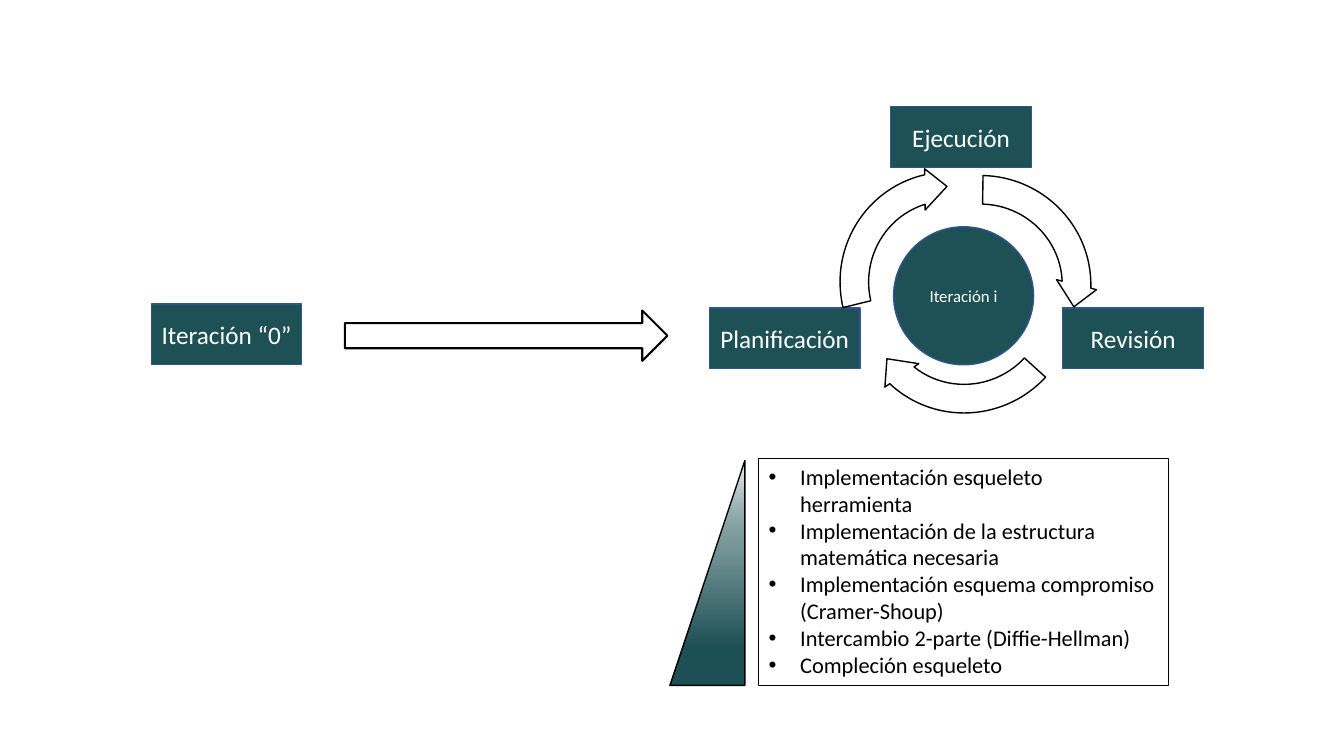
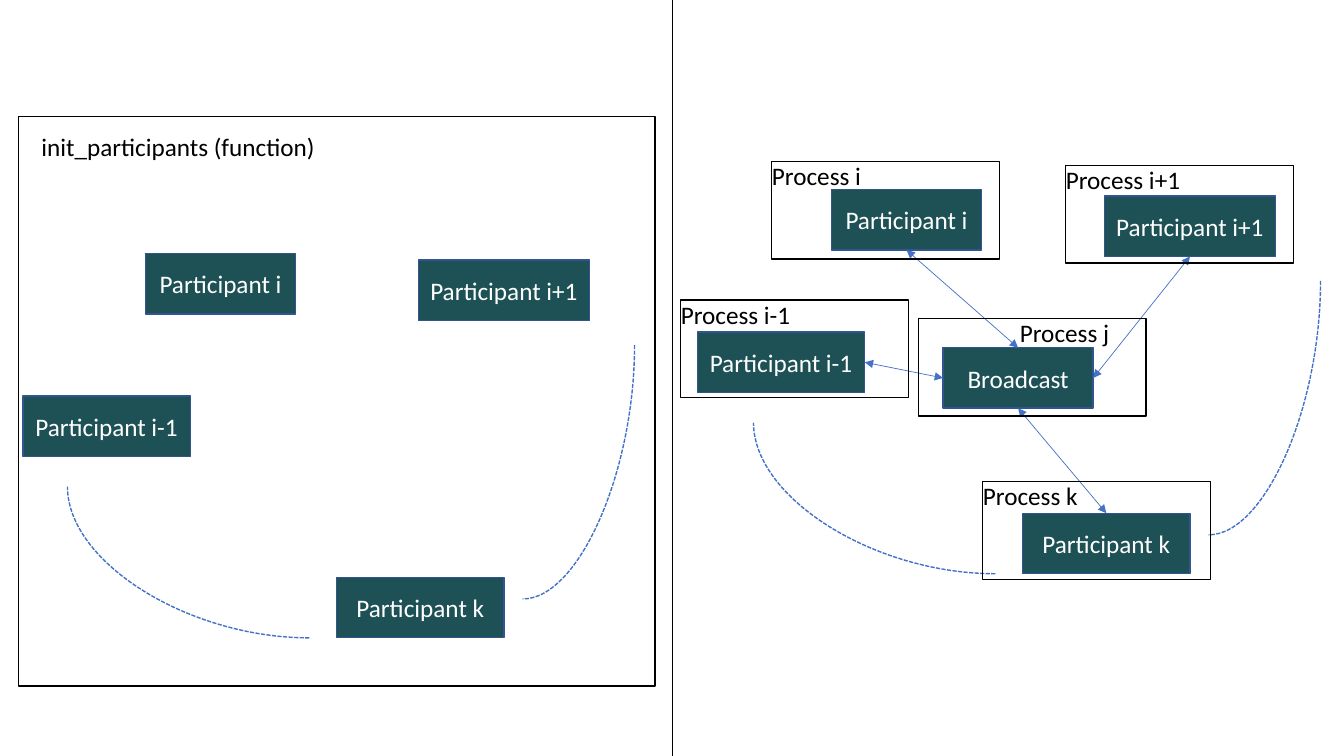
from dataclasses import dataclass
from typing import Any, Optional

import lxml.etree
import pptx
import pptx.dml.color
import pptx.enum.dml
import pptx.enum.shapes
import pptx.enum.text
import pptx.oxml.ns
import pptx.util

Pt = pptx.util.Pt
qn = pptx.oxml.ns.qn
SHAPE = pptx.enum.shapes.MSO_SHAPE
CONNECTOR = pptx.enum.shapes.MSO_CONNECTOR
ALIGN = pptx.enum.text.PP_ALIGN
ANCHOR = pptx.enum.text.MSO_ANCHOR

FONT = "Calibri"
COLORS = {
    "teal": "1E5155",
    "node_line": "325491",
    "link": "4472C4",
    "pale": "F6F8FC",
    "black": "000000",
    "white": "FFFFFF",
}
SLIDE_WIDTH, SLIDE_HEIGHT = 960, 540
NODE_HEIGHT = 43.2
NODE_WIDTH = 107.3
LABEL_WIDTH, LABEL_HEIGHT = 110, 28.8
TOP, LEFT, BOTTOM, RIGHT = range(4)


@dataclass(frozen=True)
class Box:
    left: float
    top: float
    width: float
    height: float = NODE_HEIGHT

    def lengths(self) -> tuple[Any, ...]:
        return Pt(self.left), Pt(self.top), Pt(self.width), Pt(self.height)

    def moved(self, right: float, down: float) -> "Box":
        return Box(self.left + right, self.top + down, self.width, self.height)


@dataclass(frozen=True)
class Node:
    text: str
    box: Box
    size: float = 18
    preset: Any = SHAPE.RECTANGLE


@dataclass(frozen=True)
class TurnedItem:
    box: Box
    rotation: float


@dataclass(frozen=True)
class Process:
    text: str
    left: float
    top: float
    label_shift: float = -7


@dataclass(frozen=True)
class Link:
    start: str
    start_site: int
    end: str
    end_site: int


CYCLE_NODES = [
    Node("Revisión", Box(758.9, 220, 101)),
    Node("Planificación", Box(506.9, 220, NODE_WIDTH)),
    Node("Ejecución", Box(636, 76.3, 101)),
]
CYCLE_CENTER = Node("Iteración i", Box(638.3, 162, 100, 98.6), 12, SHAPE.OVAL)
START_NODE = Node("Iteración “0”", Box(108.2, 217.2, NODE_WIDTH))
CYCLE_ARROWS = [
    TurnedItem(Box(606.7, 135.8, 165.6, 163.4), 150.9),
    TurnedItem(Box(618.2, 121, 165.6, 163.4), 19.6),
    TurnedItem(Box(594.5, 119.5, 165.6, 163.4), 274.9),
]
CYCLE_ARROW_ADJUSTMENTS = (1 / 8, 8.07, 204.58, 150.76, 0.09)
TASKS = [
    "Implementación esqueleto herramienta",
    "Implementación de la estructura matemática necesaria",
    "Implementación esquema compromiso (Cramer-Shoup)",
    "Intercambio 2-parte (Diffie-Hellman)",
    "Compleción esqueleto",
]
# Position in percent, colour, opacity in percent
WEDGE_STOPS = [(0, "pale", 100), (39, "teal", 60), (83, "teal", 100), (100, "teal", 100)]

PARTICIPANTS = [
    Node("Participant i", Box(103.9, 181.2, NODE_WIDTH)),
    Node("Participant i+1", Box(298.8, 185.8, 122.4)),
    Node("Participant i-1", Box(16.4, 283, 119.5)),
    Node("Participant k", Box(240.5, 412.4, 119.5)),
]
CURVES = [
    TurnedItem(Box(322.6, 297.2, 181.4, 79.9), 90),
    TurnedItem(Box(48.2, 347.6, 172.8, 108), 180),
]
RING_SHIFT = (490, -45.8)
NUDGES = {"Participant i-1": -8.2}
BROADCAST = Node("Broadcast", Box(673.6, 248.4, NODE_WIDTH))
LINKS = [
    Link("Participant i-1", RIGHT, "Broadcast", LEFT),
    Link("Participant i", BOTTOM, "Broadcast", TOP),
    Link("Participant i+1", BOTTOM, "Broadcast", RIGHT),
    Link("Broadcast", BOTTOM, "Participant k", TOP),
]
PROCESSES = [
    Process("Process i", 551.3, 115.2),
    Process("Process i+1", 761.2, 118.1),
    Process("Process i-1", 486.2, 214.4),
    Process("Process k", 702, 344),
    Process("Process j", 655.9, 227.5, 65.5),
]


def rgb(name: str) -> Any:
    return pptx.dml.color.RGBColor.from_string(COLORS[name])


def write_text(shape: Any, *lines: str, size: float = 18, color: str = "black",
               align: Any = ALIGN.LEFT, anchor: Any = ANCHOR.TOP,
               side_margin: float = 7.2, bullet_indent: float = 0) -> None:
    frame = shape.text_frame
    frame.word_wrap = True
    frame.vertical_anchor = anchor
    frame.margin_left = frame.margin_right = Pt(side_margin)
    for index, line in enumerate(lines):
        paragraph = frame.add_paragraph() if index else frame.paragraphs[0]
        paragraph.alignment = align
        run = paragraph.add_run()
        run.text = line
        run.font.name = FONT
        run.font.size = Pt(size)
        run.font.color.rgb = rgb(color)
        if bullet_indent:
            add_bullet(paragraph, bullet_indent)


def add_bullet(paragraph: Any, indent: float) -> None:
    properties = paragraph._p.get_or_add_pPr()
    properties.set("marL", str(int(Pt(indent))))
    properties.set("indent", str(-int(Pt(indent))))
    lxml.etree.SubElement(properties, qn("a:buFont")).set("typeface", "Arial")
    lxml.etree.SubElement(properties, qn("a:buChar")).set("char", "•")


def add_shape(slide: Any, preset: Any, box: Box, fill: Optional[str] = None,
              line: str = "black", line_width: float = 1) -> Any:
    shape = slide.shapes.add_shape(preset, *box.lengths())
    shape.shadow.inherit = False
    if fill:
        shape.fill.solid()
        shape.fill.fore_color.rgb = rgb(fill)
    else:
        shape.fill.background()
    shape.line.color.rgb = rgb(line)
    shape.line.width = Pt(line_width)
    return shape


def add_node(slide: Any, node: Node) -> Any:
    shape = add_shape(slide, node.preset, node.box, "teal", "node_line")
    write_text(shape, node.text, size=node.size, color="white", align=ALIGN.CENTER,
               anchor=ANCHOR.MIDDLE, side_margin=3.6)
    return shape


def add_label(slide: Any, text: str, left: float, top: float,
              width: float = LABEL_WIDTH) -> None:
    box = Box(left, top, width, LABEL_HEIGHT)
    write_text(slide.shapes.add_textbox(*box.lengths()), text)


def add_line(slide: Any, kind: Any, box: Box, color: str, width: float) -> Any:
    """Draw a connector from the top left to the bottom right of the box."""
    line = slide.shapes.add_connector(
        kind, Pt(box.left), Pt(box.top),
        Pt(box.left + box.width), Pt(box.top + box.height))
    line.line.color.rgb = rgb(color)
    line.line.width = Pt(width)
    lxml.etree.SubElement(line.element.spPr, qn("a:effectLst"))
    return line


def add_link(slide: Any, link: Link, nodes: dict[str, Any]) -> None:
    """Glue a double-headed arrow to two nodes."""
    line = add_line(slide, CONNECTOR.STRAIGHT, Box(0, 0, 0, 0), "link", 0.5)
    line.begin_connect(nodes[link.start], link.start_site)
    line.end_connect(nodes[link.end], link.end_site)
    outline = line.element.spPr.find(qn("a:ln"))
    for end in ("a:headEnd", "a:tailEnd"):
        lxml.etree.SubElement(outline, qn(end)).set("type", "triangle")


def add_curve(slide: Any, curve: TurnedItem) -> None:
    """Draw a dashed quarter curve, turned about the centre of its box."""
    line = add_line(slide, CONNECTOR.CURVE, curve.box, "link", 1)
    line.line.dash_style = pptx.enum.dml.MSO_LINE.SQUARE_DOT
    properties = line.element.spPr
    properties.find(qn("a:prstGeom")).set("prst", "curvedConnector2")
    properties.find(qn("a:xfrm")).set("rot", str(int(curve.rotation * 60000)))


def add_wedge(slide: Any, box: Box) -> None:
    """Draw the right triangle that darkens downwards."""
    wedge = add_shape(slide, SHAPE.RIGHT_TRIANGLE, box)
    wedge.fill.gradient()
    wedge.fill.gradient_angle = 270
    properties = wedge.element.spPr
    properties.find(qn("a:xfrm")).set("flipH", "1")
    stops = properties.find(qn("a:gradFill")).find(qn("a:gsLst"))
    for stop in list(stops):
        stops.remove(stop)
    for position, color, opacity in WEDGE_STOPS:
        stop = lxml.etree.SubElement(stops, qn("a:gs"))
        stop.set("pos", str(position * 1000))
        value = lxml.etree.SubElement(stop, qn("a:srgbClr"))
        value.set("val", COLORS[color])
        if opacity < 100:
            lxml.etree.SubElement(value, qn("a:alpha")).set("val", str(opacity * 1000))


def build_iterations(slide: Any) -> None:
    for node in CYCLE_NODES:
        add_node(slide, node)
    for arrow in CYCLE_ARROWS:
        shape = add_shape(slide, SHAPE.CIRCULAR_ARROW, arrow.box, "white")
        shape.rotation = arrow.rotation
        for index, value in enumerate(CYCLE_ARROW_ADJUSTMENTS):
            shape.adjustments[index] = value
    add_node(slide, CYCLE_CENTER)
    add_node(slide, START_NODE)
    add_shape(slide, SHAPE.RIGHT_ARROW, Box(246.4, 221.8, 230.4, 36), "white", line_width=1.5)
    tasks = add_shape(slide, SHAPE.RECTANGLE, Box(542, 327.2, 293, 162.6), line_width=0.75)
    write_text(tasks, *TASKS, size=16, bullet_indent=22.5)
    add_wedge(slide, Box(478.6, 329, 53.5, 160.6))


def add_ring(slide: Any, right: float, down: float, nudges: dict[str, float]) -> dict[str, Any]:
    """Draw the participants and curves, and return the nodes by name."""
    nodes = {}
    for node in PARTICIPANTS:
        box = node.box.moved(right + nudges.get(node.text, 0), down)
        nodes[node.text] = add_node(slide, Node(node.text, box))
    for curve in CURVES:
        add_curve(slide, TurnedItem(curve.box.moved(right, down), curve.rotation))
    return nodes


def build_participants(slide: Any) -> None:
    add_line(slide, CONNECTOR.STRAIGHT, Box(SLIDE_WIDTH / 2, 0, 0, SLIDE_HEIGHT), "black", 0.5)
    nodes = add_ring(slide, *RING_SHIFT, NUDGES)
    nodes[BROADCAST.text] = add_node(slide, BROADCAST)
    for link in LINKS:
        add_link(slide, link, nodes)
    add_ring(slide, 0, 0, {})
    add_shape(slide, SHAPE.RECTANGLE, Box(13, 83.3, 455, 406.8))
    add_label(slide, "init_participants (function)", 22.5, 90.4, 220)
    for process in PROCESSES:
        add_shape(slide, SHAPE.RECTANGLE, Box(process.left, process.top, 162.7, 69.8))
        add_label(slide, process.text, process.left + process.label_shift, process.top - 4.4)


def main() -> None:
    presentation = pptx.Presentation()
    presentation.slide_width = Pt(SLIDE_WIDTH)
    presentation.slide_height = Pt(SLIDE_HEIGHT)
    blank = presentation.slide_layouts[6]
    for build in (build_iterations, build_participants):
        build(presentation.slides.add_slide(blank))
    presentation.save("out.pptx")


if __name__ == "__main__":
    main()
